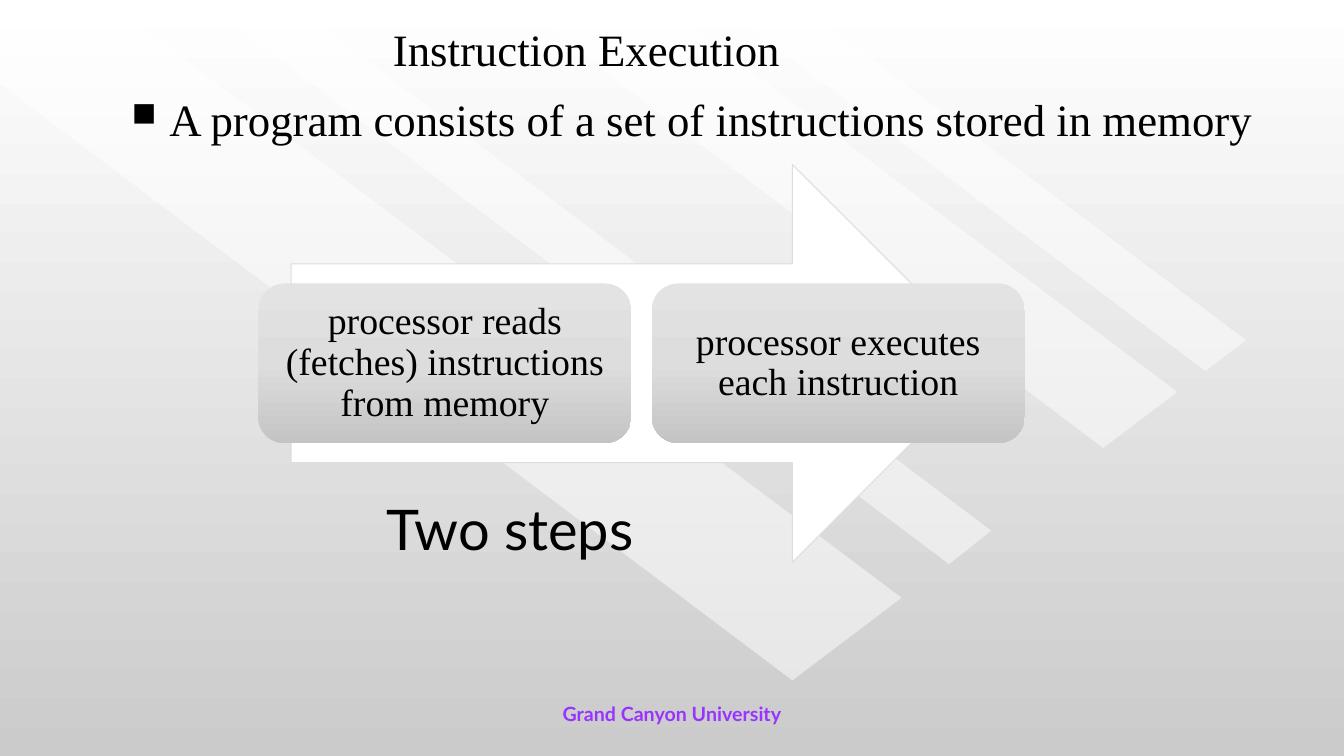
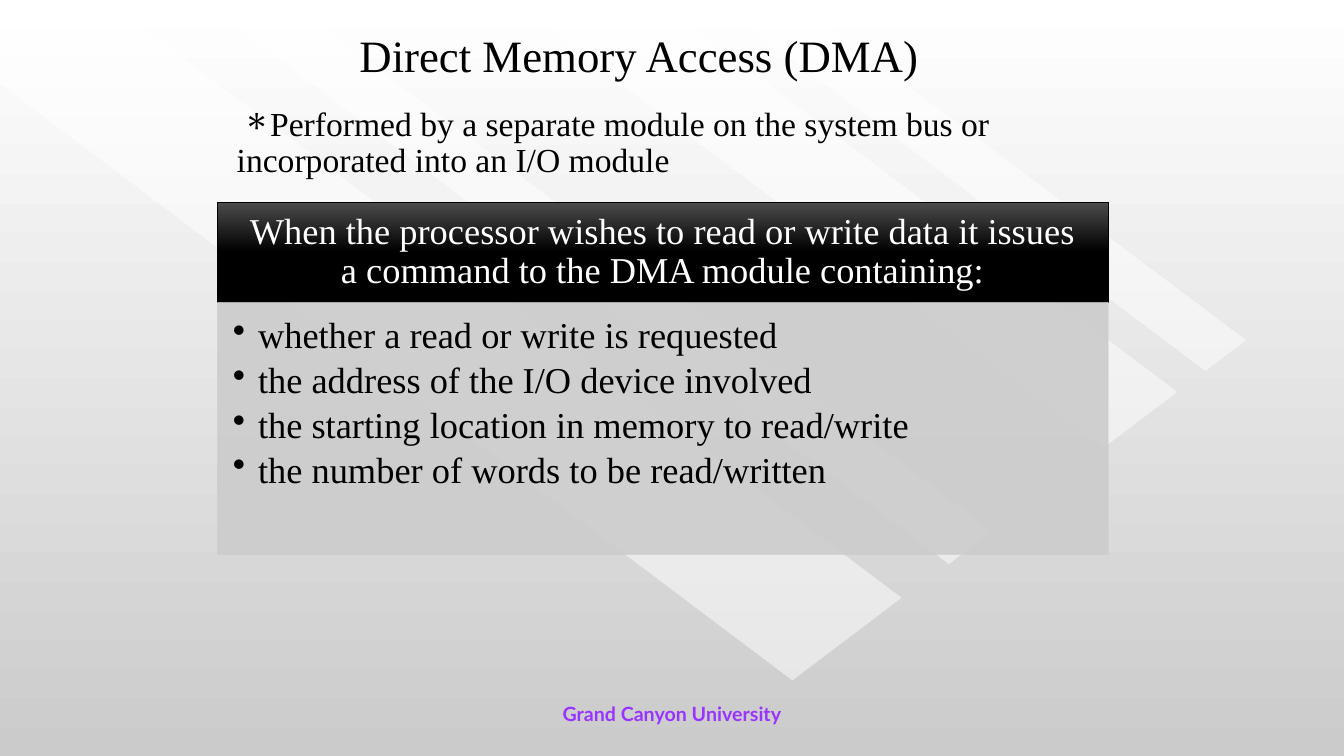
import lxml.etree
import pptx
import pptx.dml.color
import pptx.enum.shapes
import pptx.enum.text
import pptx.oxml.ns
import pptx.util

Pt = pptx.util.Pt
qn = pptx.oxml.ns.qn
SHAPES = pptx.enum.shapes.MSO_SHAPE
ALIGN = pptx.enum.text.PP_ALIGN
ANCHOR = pptx.enum.text.MSO_ANCHOR

SERIF = "Times New Roman"
SANS = "Lato"
BLACK = "000000"
WHITE = "FFFFFF"
VIOLET = "9933FF"
PANEL = "CCCCCC"
ARROW_EDGE = "DDDDDD"
PAGE_GRADIENT = [(0, WHITE), (100, "CBCBCB")]
STEP_GRADIENT = [(0, "E3E3E3"), (50, "DDDDDD"), (100, "C4C4C4")]
HEADER_GRADIENT = [(0, "4B4B4B"), (50, BLACK), (100, BLACK)]
BANDS = [
    [(644, 427), (76, 0), (0, 0), (0, 60), (566, 486)],
    [(205, 0), (708, 379), (678, 403), (143, 0)],
    [(469, 0), (841, 280), (788, 320), (364, 0)],
    [(509, 0), (861, 265), (890, 243), (567, 0)],
]


def color(value):
    return pptx.dml.color.RGBColor.from_string(value)


def add_child(parent, tag, **attributes):
    return lxml.etree.SubElement(parent, qn(tag), attributes)


def paint_solid(shape, fill, edge=None, edge_width=0.5, opacity=100):
    shape.shadow.inherit = False
    shape.fill.solid()
    shape.fill.fore_color.rgb = color(fill)
    paint_edge(shape, edge, edge_width)
    if opacity < 100:
        for element in shape.element.spPr.iter(qn("a:srgbClr")):
            add_child(element, "a:alpha", val=str(opacity * 1000))


def paint_edge(shape, edge, width=0.5):
    if edge:
        shape.line.color.rgb = color(edge)
        shape.line.width = Pt(width)
    else:
        shape.line.fill.background()


def paint_gradient(owner, fill, stops):
    fill.gradient()
    fill.gradient_angle = 270
    stop_list = next(owner.element.iter(qn("a:gsLst")))
    for stop in list(stop_list):
        stop_list.remove(stop)
    for position, value in stops:
        stop = add_child(stop_list, "a:gs", pos=str(position * 1000))
        add_child(stop, "a:srgbClr", val=value)


def add_bullet(para, mark, size=100, margin=0, indent=0):
    properties = para._p.get_or_add_pPr()
    properties.set("marL", str(Pt(margin)))
    properties.set("indent", str(Pt(indent)))
    bullet_color = add_child(properties, "a:buClr")
    add_child(bullet_color, "a:srgbClr", val=BLACK)
    add_child(properties, "a:buSzPct", val=str(size * 1000))
    add_child(properties, "a:buChar", char=mark)


def write(box, lines, size, font=SERIF, ink=BLACK, bold=False, align=ALIGN.LEFT,
          anchor=ANCHOR.TOP, insets=(7.2, 3.6, 7.2, 3.6), spacing=1, after=0,
          wrap=True, bullet=None):
    frame = box.text_frame
    frame.text = "\n".join(lines)
    frame.word_wrap = wrap
    frame.vertical_anchor = anchor
    (frame.margin_left, frame.margin_top,
     frame.margin_right, frame.margin_bottom) = map(Pt, insets)
    for para in frame.paragraphs:
        para.alignment = align
        para.line_spacing = spacing
        para.space_before = Pt(0)
        para.space_after = Pt(after)
        if bullet:
            add_bullet(para, **bullet)
        for span in para.runs:
            span.font.name = font
            span.font.size = Pt(size)
            span.font.bold = bold
            span.font.color.rgb = color(ink)


def add_text(page, area, lines, size, **style):
    box = page.shapes.add_textbox(*map(Pt, area))
    write(box, lines, size, **style)


def add_block(page, kind, area):
    return page.shapes.add_shape(kind, *map(Pt, area))


def add_gradient_block(page, kind, area, stops, text, size, ink, insets, edge=None):
    block = add_block(page, kind, area)
    block.shadow.inherit = False
    paint_gradient(block, block.fill, stops)
    paint_edge(block, edge)
    write(block, [text], size, ink=ink, align=ALIGN.CENTER, anchor=ANCHOR.MIDDLE,
          insets=insets, spacing=0.9)


def style_master(deck, page):
    master = deck.slide_master
    paint_gradient(master, master.background.fill, PAGE_GRADIENT)
    for number, (start, *corners) in enumerate(BANDS, 101):
        builder = page.shapes.build_freeform(*start, scale=Pt(1))
        builder.add_line_segments(corners, close=True)
        band = builder.convert_to_shape()
        paint_solid(band, WHITE, opacity=50)
        band.element.nvSpPr.cNvPr.set("id", str(number))
        master.shapes.element.append(band.element)


def add_page(deck, title, area):
    page = deck.slides.add_slide(deck.slide_layouts[5])
    heading = page.shapes.title
    heading.left, heading.top, heading.width, heading.height = map(Pt, area)
    write(heading, [title], 32, align=ALIGN.CENTER, anchor=ANCHOR.MIDDLE)
    add_text(page, (328, 492, 304, 36), ["Grand Canyon University"], 14, font=SANS,
             ink=VIOLET, bold=True, align=ALIGN.CENTER, anchor=ANCHOR.MIDDLE, wrap=False)
    return page


def fill_execution(page):
    add_text(page, (87, 62, 825, 144),
             ["A program consists of a set of instructions stored in memory"], 32,
             bullet=dict(mark="■", size=75, margin=27, indent=-27))
    arrow = add_block(page, SHAPES.RIGHT_ARROW, (208, 117.5, 500, 284))
    paint_solid(arrow, WHITE, ARROW_EDGE, 0.75)
    steps = ["processor reads (fetches) instructions from memory",
             "processor executes each instruction"]
    for index, step in enumerate(steps):
        add_gradient_block(page, SHAPES.ROUNDED_RECTANGLE,
                           (184.5 + 281 * index, 202.5, 266.5, 114),
                           STEP_GRADIENT, step, 27, BLACK, (13.5,) * 4)
    add_text(page, (269, 350, 300, 85), ["Two steps"], 40, font=SANS)


def fill_memory_access(page):
    left, top, width, header_height = 155.5, 144.5, 636, 71.5
    add_gradient_block(page, SHAPES.RECTANGLE, (left, top, width, header_height),
                       HEADER_GRADIENT,
                       "When the processor wishes to read or write data it issues "
                       "a command to the DMA module containing:",
                       26, WHITE, (14.4, 8.6, 14.4, 8.6), edge=BLACK)
    panel = add_block(page, SHAPES.RECTANGLE, (left, top + header_height, width, 180))
    paint_solid(panel, PANEL, PANEL, opacity=90)
    write(panel, ["whether a read or write is requested",
                  "the address of the I/O device involved",
                  "the starting location in memory to read/write",
                  "the number of words to be read/written"], 26,
          insets=(10.8, 10.8, 14.4, 16.6), spacing=0.9, after=3.9,
          bullet=dict(mark="•", margin=18, indent=-18))
    add_text(page, (162, 73, 636, 60),
             ["Performed by a separate module on the system bus or "
              "incorporated into an I/O module"], 24, spacing=0.9,
             bullet=dict(mark="∗", size=112, indent=4.5))


def main():
    deck = pptx.Presentation()
    deck.slide_width, deck.slide_height = Pt(960), Pt(540)
    execution = add_page(deck, "Instruction Execution", (251, 12, 336, 45))
    style_master(deck, execution)
    fill_execution(execution)
    memory_access = add_page(deck, "Direct Memory Access (DMA)", (240.5, 12, 432, 54))
    fill_memory_access(memory_access)
    deck.save("out.pptx")


if __name__ == "__main__":
    main()
